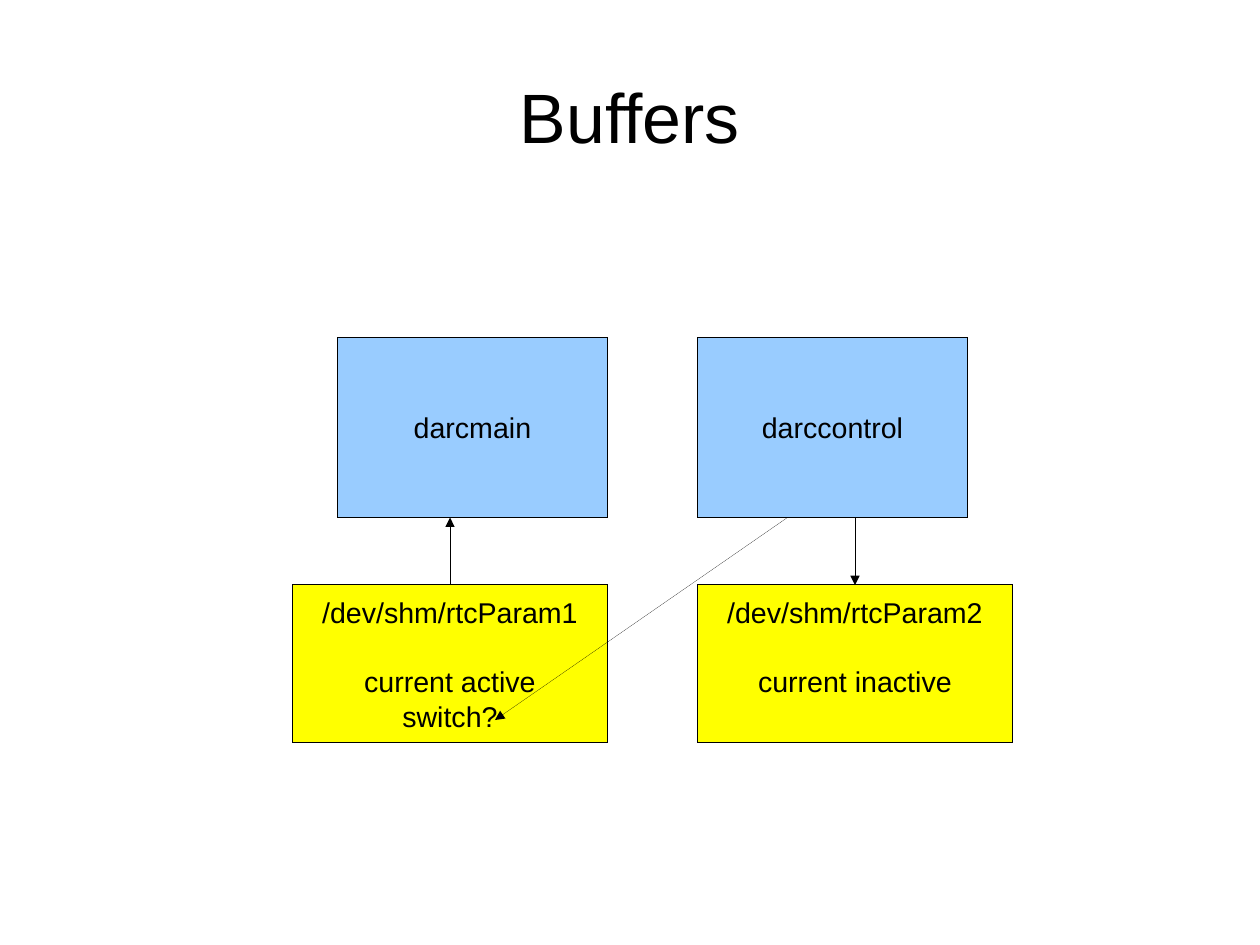
from lxml.etree import SubElement
from pptx import Presentation
from pptx.dml.color import RGBColor
from pptx.enum.shapes import MSO_CONNECTOR, MSO_SHAPE
from pptx.enum.text import MSO_ANCHOR, PP_ALIGN
from pptx.oxml.ns import qn
from pptx.util import Emu, Pt

PX = 9000  # 40 px to the centimetre
COLORS = {"black": "000000", "process": "99CCFF", "buffer": "FFFF00"}
FONT = "Arial"
GAP = 22  # points between a buffer's name and its state

TITLE = "Buffers"
PROCESSES = [("darcmain", 300), ("darccontrol", 620)]
BUFFERS = [
    (["/dev/shm/rtcParam1", "current active", "switch?"], 260),
    (["/dev/shm/rtcParam2", "current inactive"], 620),
]
PROCESS_TOP, PROCESS_W, PROCESS_H = 300, 240, 160
BUFFER_TOP, BUFFER_W, BUFFER_H = 520, 280, 140
PROCESS_BOTTOM = PROCESS_TOP + PROCESS_H
SWITCH_FROM, SWITCH_TO = (700, PROCESS_BOTTOM), (440, 640)


def px(*values):
    return [Emu(v * PX) for v in values]


def rgb(name):
    return RGBColor.from_string(COLORS[name])


def write(shape, lines, size, anchor, insets):
    """Centre the lines, with a gap below the first."""
    tf = shape.text_frame
    tf.word_wrap = True
    tf.vertical_anchor = anchor
    tf.margin_left, tf.margin_top, tf.margin_right, tf.margin_bottom = px(*insets)
    tf.text = "\n".join(lines)
    for i, p in enumerate(tf.paragraphs):
        p.alignment = PP_ALIGN.CENTER
        if i == 1:
            p.space_before = Pt(GAP)
        p.font.name, p.font.size = FONT, Pt(size)
        p.font.color.rgb = rgb("black")


def set_hairline(shape):
    """Write width 0 as XML, since line.width drops a zero."""
    shape.line.color.rgb = rgb("black")
    ln = shape._element.spPr.find(qn("a:ln"))
    ln.set("w", "0")
    return ln


def add_box(s, box, fill, lines, anchor, top_inset):
    sp = s.shapes.add_shape(MSO_SHAPE.RECTANGLE, *px(*box))
    sp.shadow.inherit = False
    sp.fill.solid()
    sp.fill.fore_color.rgb = rgb(fill)
    set_hairline(sp)
    write(sp, lines, 18, anchor, (10, top_inset, 10, 5))
    return sp


def add_arrow(s, start, end):
    c = s.shapes.add_connector(MSO_CONNECTOR.STRAIGHT, *px(*start, *end))
    SubElement(set_hairline(c), qn("a:tailEnd"), type="triangle")
    SubElement(c._element.spPr, qn("a:effectLst"))
    return c


def main():
    prs = Presentation()
    prs.slide_width, prs.slide_height = px(1120, 840)
    s = prs.slides.add_slide(prs.slide_layouts[6])

    title = s.shapes.add_textbox(*px(56, 38, 1008, 130))
    write(title, [TITLE], 44, MSO_ANCHOR.MIDDLE, (0, 0, 0, 0))

    for name, left in PROCESSES:
        add_box(s, (left, PROCESS_TOP, PROCESS_W, PROCESS_H), "process",
                [name], MSO_ANCHOR.MIDDLE, 5)
    active, inactive = [
        add_box(s, (left, BUFFER_TOP, BUFFER_W, BUFFER_H), "buffer",
                lines, MSO_ANCHOR.TOP, 9)
        for lines, left in BUFFERS
    ]

    read_x, write_x = [left + BUFFER_W // 2 for _, left in BUFFERS]
    read = add_arrow(s, (read_x, BUFFER_TOP), (read_x, PROCESS_BOTTOM))
    read.begin_connect(active, 0)
    update = add_arrow(s, (write_x, PROCESS_BOTTOM), (write_x, BUFFER_TOP))
    update.end_connect(inactive, 0)
    add_arrow(s, SWITCH_FROM, SWITCH_TO)

    prs.save("out.pptx")


if __name__ == "__main__":
    main()
